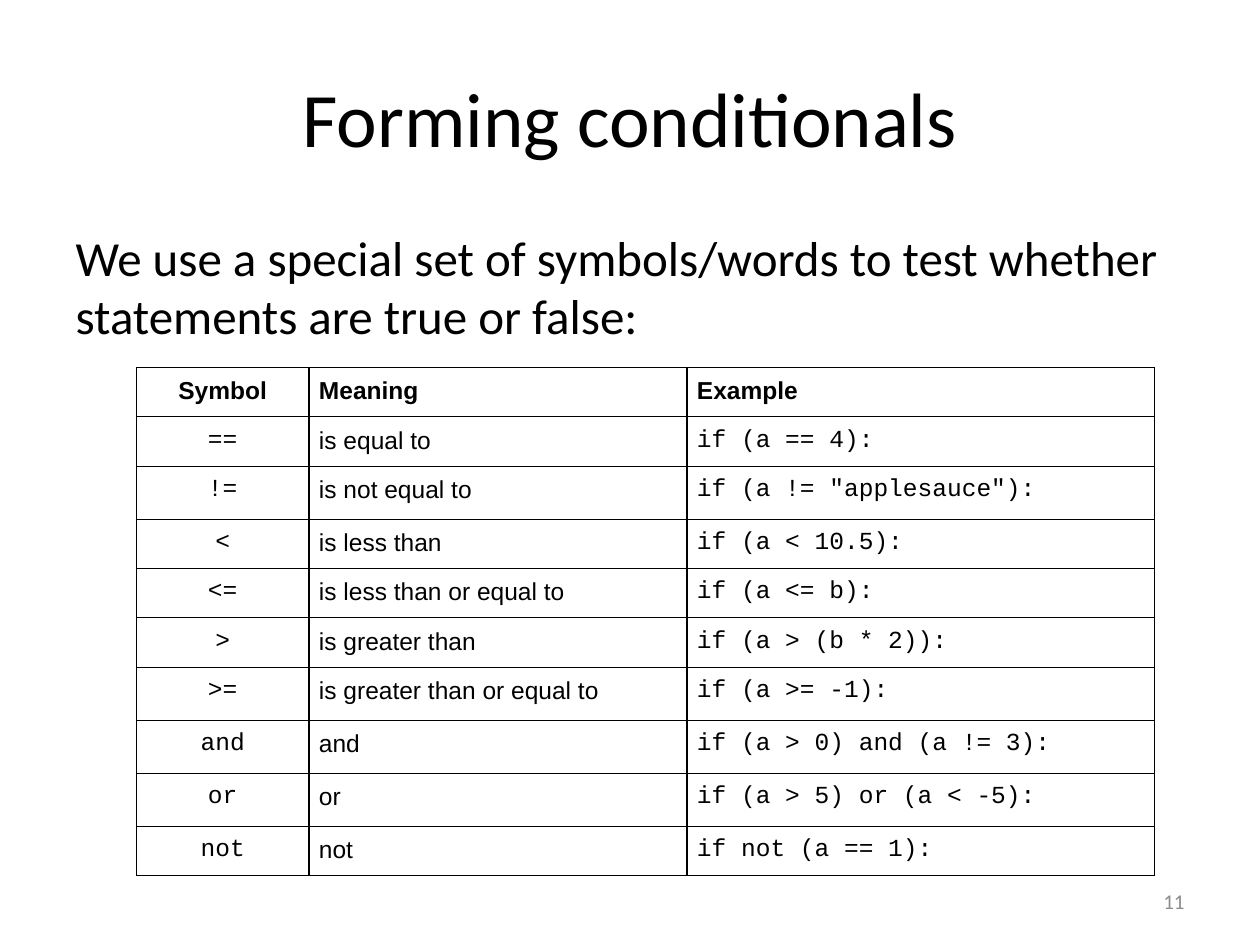
import pptx
import pptx.util
import pptx.dml.color
import pptx.enum.text
import pptx.oxml
import pptx.oxml.ns

Cm = pptx.util.Cm
Pt = pptx.util.Pt
ALIGN = pptx.enum.text.PP_ALIGN
ANCHOR = pptx.enum.text.MSO_ANCHOR

BLACK = "000000"
GREY = "8C8C8C"
HEADINGS = ("Symbol", "Meaning", "Example")
CONDITIONS = [
    ("==", "is equal to", "if (a == 4):"),
    ("!=", "is not equal to", 'if (a != "applesauce"):'),
    ("<", "is less than", "if (a < 10.5):"),
    ("<=", "is less than or equal to", "if (a <= b):"),
    (">", "is greater than", "if (a > (b * 2)):"),
    (">=", "is greater than or equal to", "if (a >= -1):"),
    ("and", "and", "if (a > 0) and (a != 3):"),
    ("or", "or", "if (a > 5) or (a < -5):"),
    ("not", "not", "if not (a == 1):"),
]
COLUMN_WIDTHS = (3.48, 7.62, 9.42)
COLUMN_FONTS = ("Courier New", "Arial", "Courier New")
COLUMN_ALIGNS = (ALIGN.CENTER, ALIGN.LEFT, ALIGN.LEFT)
ROW_HEIGHT = 0.97
TALL_ROW_HEIGHT = 1.07
TALL_ROWS = (2, 6, 7, 8)


def colour(hex_value):
    return pptx.dml.color.RGBColor.from_string(hex_value)


def apply_format(target, values):
    for name, value in values.items():
        setattr(target, name, value)


def place(shape, box):
    names = ("left", "top", "width", "height")
    apply_format(shape, {name: Cm(length) for name, length in zip(names, box)})


def write(frame, text, align, hex_value, **font_values):
    paragraph = frame.paragraphs[0]
    paragraph.alignment = align
    run = paragraph.add_run()
    run.text = text
    apply_format(run.font, font_values)
    run.font.color.rgb = colour(hex_value)
    return paragraph


def add_heading(slide, box):
    heading = slide.shapes.title
    place(heading, box)
    heading.text_frame.vertical_anchor = ANCHOR.MIDDLE
    write(heading.text_frame, "Forming conditionals", ALIGN.CENTER, BLACK,
          size=Pt(44), name="Calibri")


def add_introduction(slide, box):
    introduction = slide.placeholders[1]
    place(introduction, box)
    sentence = write(
        introduction.text_frame,
        "We use a special set of symbols/words to test whether statements are true or false:",
        ALIGN.LEFT, BLACK, size=Pt(28), name="Calibri")
    properties = sentence._p.get_or_add_pPr()
    properties.set("marL", "0")
    properties.set("indent", "0")
    properties.append(properties.makeelement(pptx.oxml.ns.qn("a:buNone"), {}))


def add_page_number(slide, box):
    page_number = slide.shapes.add_textbox(*map(Cm, box))
    apply_format(page_number.text_frame,
                 {"word_wrap": True, "vertical_anchor": ANCHOR.MIDDLE})
    write(page_number.text_frame, "11", ALIGN.RIGHT, GREY, size=Pt(12), name="Calibri")


def add_borders(cell):
    properties = cell._tc.get_or_add_tcPr()
    for position, side in enumerate(("lnL", "lnR", "lnT", "lnB")):
        border = pptx.oxml.parse_xml(
            f'<a:{side} {pptx.oxml.ns.nsdecls("a")} w="{Pt(0.75)}">'
            f'<a:solidFill><a:srgbClr val="{BLACK}"/></a:solidFill></a:{side}>')
        properties.insert(position, border)


def add_condition_table(slide, box):
    rows = [HEADINGS] + CONDITIONS
    table = slide.shapes.add_table(len(rows), len(HEADINGS), *map(Cm, box)).table
    apply_format(table, {"first_row": False, "horz_banding": False})
    for column, width in zip(table.columns, COLUMN_WIDTHS):
        column.width = Cm(width)
    margins = dict.fromkeys(
        ("margin_left", "margin_top", "margin_right", "margin_bottom"), Cm(0.2))
    for row_index, texts in enumerate(rows):
        is_header = row_index == 0
        height = TALL_ROW_HEIGHT if row_index in TALL_ROWS else ROW_HEIGHT
        table.rows[row_index].height = Cm(height)
        for column_index, text in enumerate(texts):
            cell = table.cell(row_index, column_index)
            apply_format(cell, margins)
            cell.fill.background()
            add_borders(cell)
            write(cell.text_frame, text, COLUMN_ALIGNS[column_index], BLACK,
                  size=Pt(14), bold=is_header,
                  name="Arial" if is_header else COLUMN_FONTS[column_index])


def main():
    presentation = pptx.Presentation()
    apply_format(presentation, {"slide_width": Cm(25.4), "slide_height": Cm(19.05)})
    slide = presentation.slides.add_slide(presentation.slide_layouts[1])
    add_heading(slide, (1.27, 0.76, 22.86, 3.18))
    add_introduction(slide, (1.27, 4.45, 22.86, 12.57))
    add_page_number(slide, (18.21, 17.65, 5.92, 1.02))
    add_condition_table(slide, (2.75, 7.41, 20.52, 10.1))
    presentation.save("out.pptx")


if __name__ == "__main__":
    main()
